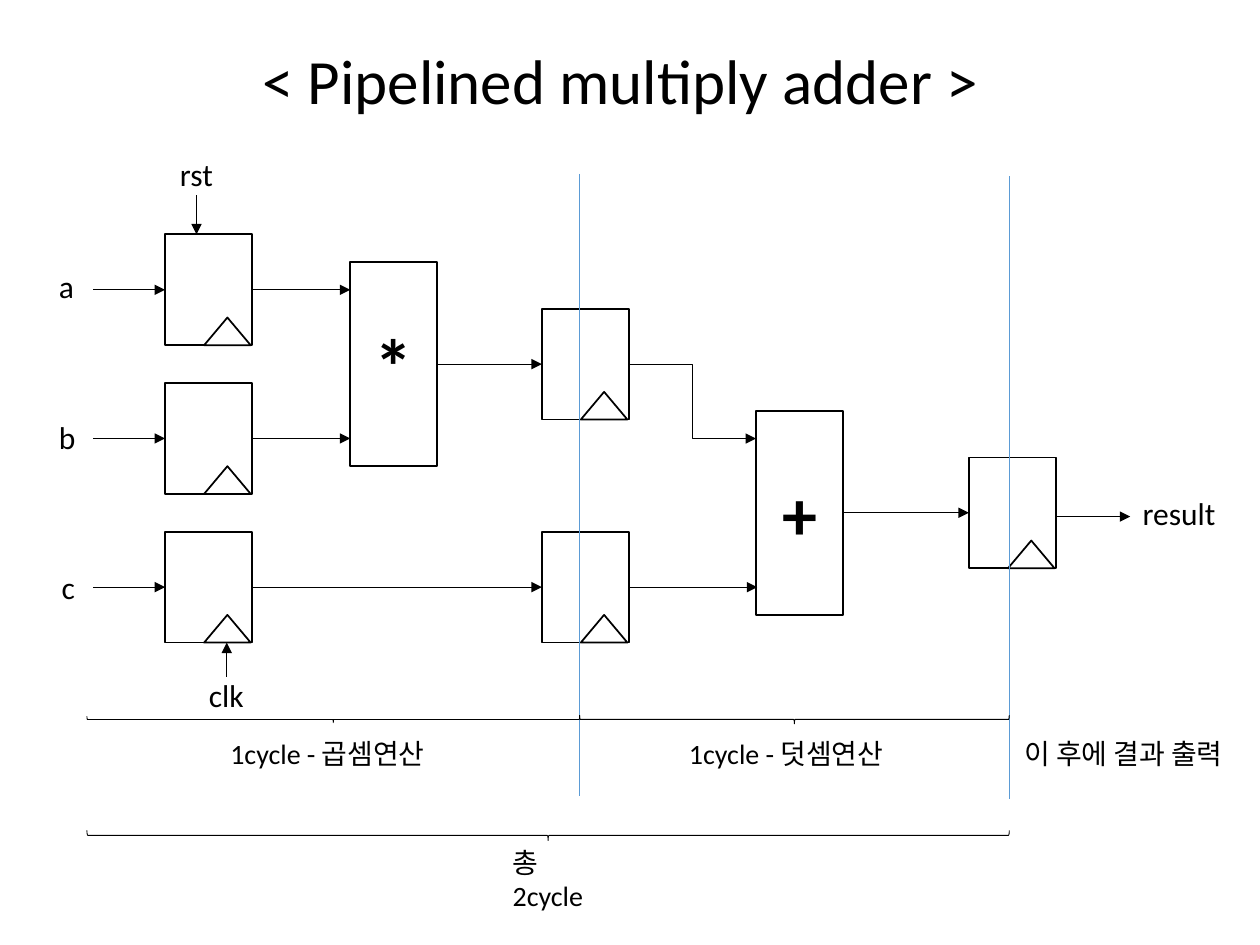
from lxml import etree
from pptx import Presentation
from pptx.dml.color import RGBColor
from pptx.enum import shapes, text
from pptx.oxml import ns
from pptx.util import Inches, Pt

BLACK = RGBColor(0x00, 0x00, 0x00)
WHITE = RGBColor(0xFF, 0xFF, 0xFF)
BLUE = RGBColor(0x5B, 0x9B, 0xD5)
FONT = "Calibri"

BLOCK_W = 0.69
REG_H, OP_H = 0.88, 1.62
CLOCK_W, CLOCK_H = 0.37, 0.22
INPUT_X, MUL_X, MID_X, ADD_X, OUT_X = 1.31, 2.78, 4.3, 6, 7.69
ROWS = [1.86, 3.04, 4.22]
PRODUCT_Y, ADD_Y, OUT_Y = 2.45, 3.26, 3.63
START_X, STAGE_1_X, STAGE_2_X = 0.69, 4.6, 8.01


def write(shape, words, size=18, bold=False, align=text.PP_ALIGN.LEFT,
          anchor=text.MSO_ANCHOR.TOP, wrap=False, grow=True):
    tf = shape.text_frame
    tf.word_wrap = wrap
    tf.vertical_anchor = anchor
    tf.auto_size = (text.MSO_AUTO_SIZE.SHAPE_TO_FIT_TEXT if grow
                    else text.MSO_AUTO_SIZE.NONE)
    p = tf.paragraphs[0]
    p.alignment = align
    r = p.add_run()
    r.text = words
    r.font.name, r.font.size, r.font.bold = FONT, Pt(size), bold
    r.font.color.rgb = BLACK


def label(slide, words, x, y, w, h=0.4, **fmt):
    box = slide.shapes.add_textbox(Inches(x), Inches(y), Inches(w), Inches(h))
    write(box, words, **fmt)


def block(slide, kind, x, y, w, h, line=1, filled=True):
    sp = slide.shapes.add_shape(kind, Inches(x), Inches(y), Inches(w), Inches(h))
    sp.shadow.inherit = False
    if filled:
        sp.fill.solid()
        sp.fill.fore_color.rgb = WHITE
    else:
        sp.fill.background()
    sp.line.color.rgb = BLACK
    sp.line.width = Pt(line)
    return sp


def wire(slide, x1, y1, x2, y2, kind=shapes.MSO_CONNECTOR.STRAIGHT,
         color=BLACK, arrow=True):
    c = slide.shapes.add_connector(kind, Inches(x1), Inches(y1), Inches(x2), Inches(y2))
    c.line.color.rgb = color
    c.line.width = Pt(0.5)
    if arrow:
        etree.SubElement(c.line._get_or_add_ln(), ns.qn("a:tailEnd"), type="triangle")
    etree.SubElement(c._element.spPr, ns.qn("a:effectLst"))


def register(slide, x, y):
    """Draw a flip-flop with its clock mark in the lower right corner."""
    block(slide, shapes.MSO_SHAPE.RECTANGLE, x, y, BLOCK_W, REG_H)
    block(slide, shapes.MSO_SHAPE.ISOSCELES_TRIANGLE, x + BLOCK_W - CLOCK_W - 0.01,
          y + REG_H - CLOCK_H, CLOCK_W, CLOCK_H)


def operator(slide, x, y, symbol, size):
    sp = block(slide, shapes.MSO_SHAPE.RECTANGLE, x, y, BLOCK_W, OP_H)
    write(sp, symbol, size=size, bold=True, align=text.PP_ALIGN.CENTER,
          anchor=text.MSO_ANCHOR.MIDDLE, wrap=True, grow=False)


def brace(slide, x1, x2, y, depth):
    """Draw a brace centred on y that opens upwards from x1 to x2."""
    length = x2 - x1
    sp = block(slide, shapes.MSO_SHAPE.LEFT_BRACE, (x1 + x2 - depth) / 2,
               y - length / 2, depth, length, line=0.5, filled=False)
    sp.rotation = 270


def title(slide, words, x, y, w, h):
    sp = slide.shapes.title
    sp.left, sp.top, sp.width, sp.height = map(Inches, (x, y, w, h))
    write(sp, words, size=36)


def input_stage(slide, x, rows):
    names = [("a", 0.37, 2.07), ("b", 0.37, 3.27), ("c", 0.39, 4.46)]
    for y, (name, label_x, label_y) in zip(rows, names):
        register(slide, x, y)
        wire(slide, x - 0.57, y + REG_H / 2, x, y + REG_H / 2)
        label(slide, name, label_x, label_y, 0.33)
    label(slide, "rst", x + 0.02, rows[0] - 0.68, 0.46)
    wire(slide, x + 0.25, rows[0] - 0.31, x + 0.25, rows[0])
    bottom = rows[-1] + REG_H
    label(slide, "clk", x + 0.25, bottom + 0.22, 0.48)
    wire(slide, x + 0.49, bottom + 0.27, x + 0.49, bottom)


def multiply_stage(slide, x, y):
    operator(slide, x, y, "*", 44)
    for row in ROWS[:2]:
        wire(slide, INPUT_X + BLOCK_W, row + REG_H / 2, x, row + REG_H / 2)
    for row in (PRODUCT_Y, ROWS[2]):
        register(slide, MID_X, row)
    wire(slide, x + BLOCK_W, y + OP_H / 2, MID_X, y + OP_H / 2)
    c_y = ROWS[2] + REG_H / 2
    wire(slide, INPUT_X + BLOCK_W, c_y, MID_X, c_y)


def add_stage(slide, x, y):
    operator(slide, x, y, "+", 40)
    start, c_y = MID_X + BLOCK_W, ROWS[2] + REG_H / 2
    wire(slide, start, PRODUCT_Y + REG_H / 2, x, ROWS[1] + REG_H / 2,
         kind=shapes.MSO_CONNECTOR.ELBOW)
    wire(slide, start, c_y, x + 0.01, c_y)
    register(slide, OUT_X, OUT_Y)
    wire(slide, x + BLOCK_W, y + OP_H / 2, OUT_X, y + OP_H / 2)
    end = OUT_X + BLOCK_W
    wire(slide, end, OUT_Y + 0.47, end + 0.59, OUT_Y + 0.47)
    label(slide, "result", end + 0.59, OUT_Y + 0.24, 0.79)


def cycle_marks(slide, y):
    for x, top in ((STAGE_1_X, 1.38), (STAGE_2_X, 1.4)):
        wire(slide, x, top, x, top + 4.94, color=BLUE, arrow=False)
    brace(slide, START_X, STAGE_1_X, y, 0.05)
    brace(slide, STAGE_1_X, STAGE_2_X, y, 0.07)
    brace(slide, START_X, STAGE_2_X, y + 0.92, 0.08)
    label(slide, "1cycle - 곱셈연산", 1.73, y + 0.09, 1.83, 0.37, size=16)
    label(slide, "1cycle - 덧셈연산", 5.37, y + 0.09, 1.83, 0.37, size=16)
    label(slide, "이 후에 결과 출력", 8.03, y + 0.09, 1.93, 0.37, size=16)
    label(slide, "총 2cycle", 3.97, y + 0.95, 0.95, 0.37, size=16, wrap=True)


def main():
    prs = Presentation()
    prs.slide_width, prs.slide_height = Inches(10), Inches(7.5)
    slide = prs.slides.add_slide(prs.slide_layouts[5])
    title(slide, "< Pipelined multiply adder >", 1.98, 0.28, 6.05, 0.71)
    input_stage(slide, INPUT_X, ROWS)
    multiply_stage(slide, MUL_X, 2.08)
    add_stage(slide, ADD_X, ADD_Y)
    cycle_marks(slide, 5.71)
    prs.save("out.pptx")


if __name__ == "__main__":
    main()
